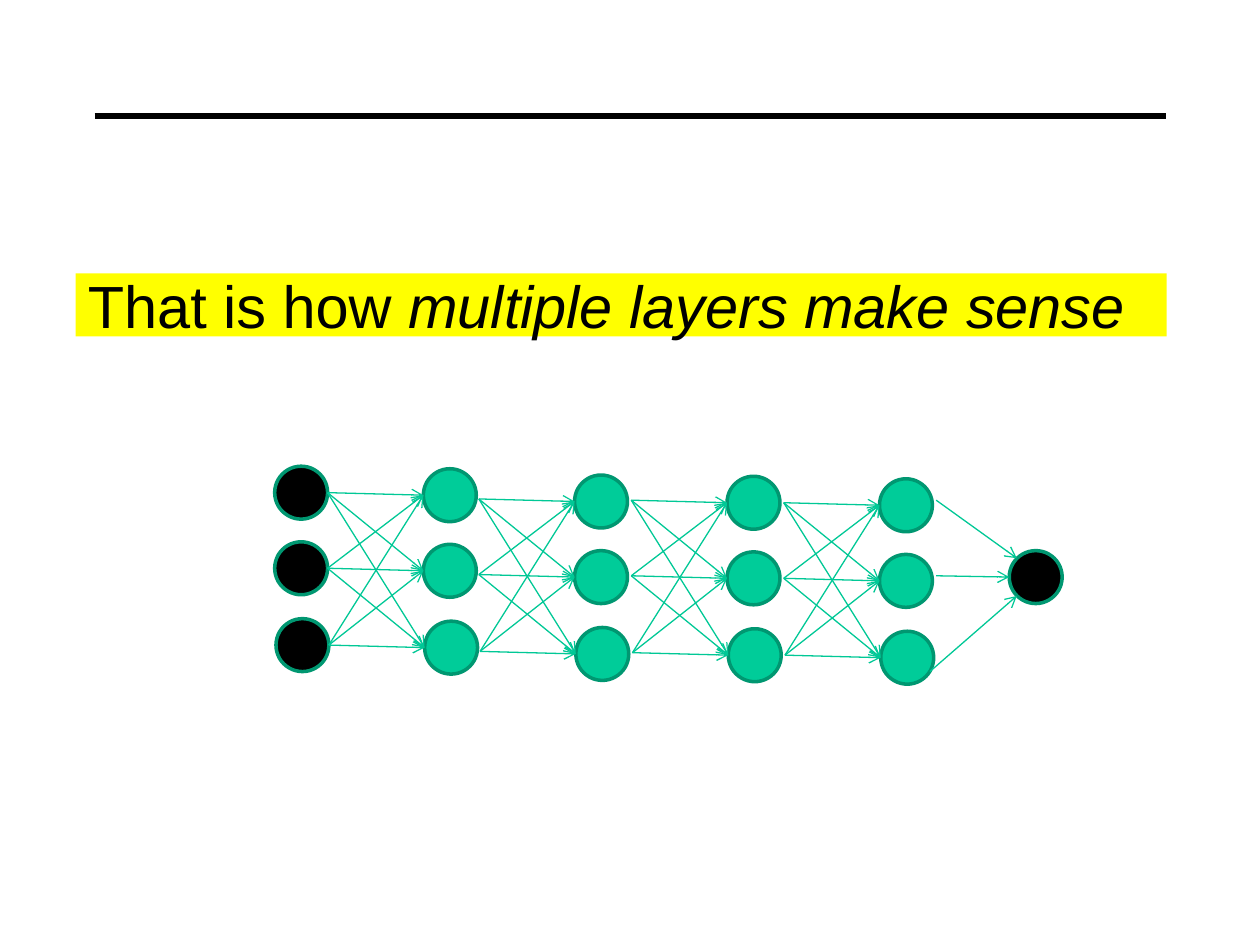
import pptx
import pptx.dml.color
import pptx.enum.shapes
import pptx.enum.text
import pptx.oxml.ns
import pptx.util
import lxml.etree

Inches = pptx.util.Inches
Pt = pptx.util.Pt
RGB = pptx.dml.color.RGBColor.from_string
MSO_SHAPE = pptx.enum.shapes.MSO_SHAPE
qn = pptx.oxml.ns.qn

THEME = {
    "ink": RGB("000000"),
    "banner": RGB("FFFF00"),
    "hidden": RGB("00CC99"),
    "outline": RGB("009771"),
    "arrow": RGB("00C896"),
    "font": "Arial",
    "title_size": Pt(34),
    "rule_width": Pt(3),
    "node_width": Pt(2),
    "arrow_width": Pt(0.75),
}


def add_line(x1, y1, x2, y2, color, width, arrow=True):
    cx = slide.shapes.add_connector(
        pptx.enum.shapes.MSO_CONNECTOR.STRAIGHT,
        Inches(x1), Inches(y1), Inches(x2), Inches(y2))
    cx.line.color.rgb = color
    cx.line.width = width
    if arrow:
        lxml.etree.SubElement(cx.line._get_or_add_ln(), qn("a:tailEnd"), type="arrow")
    lxml.etree.SubElement(cx._element.spPr, qn("a:effectLst"))


def add_node(x, y, fill):
    sp = slide.shapes.add_shape(
        MSO_SHAPE.OVAL, Inches(x), Inches(y), Inches(NODE), Inches(NODE))
    sp.shadow.inherit = False
    sp.fill.solid()
    sp.fill.fore_color.rgb = fill
    sp.line.color.rgb = THEME["outline"]
    sp.line.width = THEME["node_width"]


prs = pptx.Presentation()
prs.slide_width = Inches(10)
prs.slide_height = Inches(7.5)
slide = prs.slides.add_slide(prs.slide_layouts[6])

add_line(0.75, 0.92, 9.25, 0.92, THEME["ink"], THEME["rule_width"], arrow=False)

title = slide.shapes.add_textbox(Inches(0.6), Inches(2.17), Inches(8.66), Inches(0.5))
title.fill.solid()
title.fill.fore_color.rgb = THEME["banner"]
tf = title.text_frame
tf.word_wrap = True
tf.vertical_anchor = pptx.enum.text.MSO_ANCHOR.MIDDLE
tf.margin_top = tf.margin_bottom = Inches(0)
p = tf.paragraphs[0]
p.font.name = THEME["font"]
p.font.size = THEME["title_size"]
p.font.color.rgb = THEME["ink"]
for text, italic in (("That is how ", False), ("multiple layers make sense", True)):
    r = p.add_run()
    r.text = text
    r.font.italic = italic

NODE = 0.42
ROWS = [(0, 0), (0, 0.6), (0.01, 1.21)]
LAYERS = [(2.18, 3.7), (3.36, 3.72), (4.56, 3.77), (5.77, 3.78), (6.98, 3.8)]
REACH, DROP = 0.76, 0.02

for i, (left, top) in enumerate(LAYERS):
    for dx, dy in ROWS:
        add_node(left + dx, top + dy, THEME["hidden"] if i else THEME["ink"])
    if i == 0:
        continue
    middle = top + NODE / 2
    for sx, sy in ROWS:
        for ex, ey in ROWS:
            add_line(left - REACH + sx, middle - DROP + sy, left + ex, middle + ey,
                     THEME["arrow"], THEME["arrow_width"])

add_node(8.01, 4.37, THEME["ink"])
for ends in ((7.43, 3.97, 8.07, 4.43), (7.43, 4.57, 8.01, 4.58), (7.38, 5.33, 8.07, 4.73)):
    add_line(*ends, THEME["arrow"], THEME["arrow_width"])

prs.save("out.pptx")
